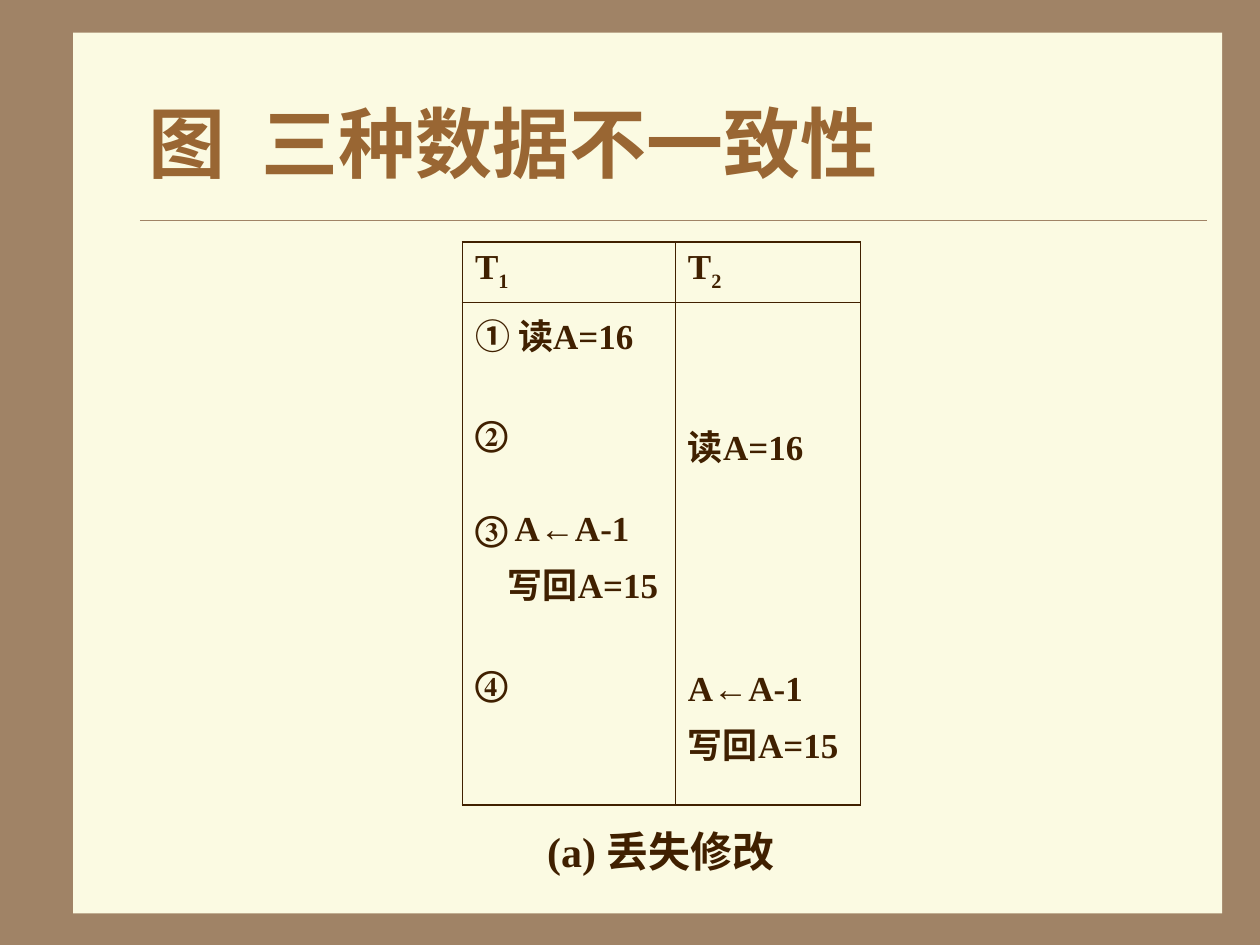
import pptx
import pptx.dml.color
import pptx.enum.shapes
import pptx.enum.text
import pptx.oxml.ns
import pptx.util
from lxml import etree

Inches, Pt = pptx.util.Inches, pptx.util.Pt
qn = pptx.oxml.ns.qn
ALIGN = pptx.enum.text.PP_ALIGN
COLORS = {"frame": "A08366", "paper": "FBFAE2", "title": "996633", "ink": "402000"}


def rgb(name):
    return pptx.dml.color.RGBColor.from_string(COLORS[name])


def style(paragraph, size, color="ink"):
    font = paragraph.font
    font.name, font.size, font.bold = "Times New Roman", Pt(size), True
    font.color.rgb = rgb(color)


presentation = pptx.Presentation()
presentation.slide_width, presentation.slide_height = Inches(10), Inches(7.5)
slide = presentation.slides.add_slide(presentation.slide_layouts[6])
slide.background.fill.solid()
slide.background.fill.fore_color.rgb = rgb("frame")

# Paper panel and rule under the title
paper = slide.shapes.add_shape(pptx.enum.shapes.MSO_SHAPE.RECTANGLE,
                               Inches(0.58), Inches(0.26), Inches(9.12), Inches(6.99))
paper.shadow.inherit = False
paper.fill.solid()
paper.fill.fore_color.rgb = rgb("paper")
paper.line.fill.background()

rule = slide.shapes.add_connector(pptx.enum.shapes.MSO_CONNECTOR.STRAIGHT,
                                  Inches(1.11), Inches(1.75), Inches(9.58), Inches(1.75))
rule.line.color.rgb = rgb("frame")
rule.line.width = Pt(0.25)
etree.SubElement(rule._element.spPr, qn("a:effectLst"))

# Title and caption
for text, box, size, color, align, wrap in (
    ("图\t三种数据不一致性", (1.08, 0.5, 8.5, 1.25), 44, "title", ALIGN.LEFT, True),
    ("(a) 丢失修改", (3.83, 6.42, 2.83, 0.67), 24, "ink", ALIGN.CENTER, False),
):
    frame = slide.shapes.add_textbox(*map(Inches, box)).text_frame
    frame.word_wrap = wrap
    frame.vertical_anchor = pptx.enum.text.MSO_ANCHOR.MIDDLE
    line = frame.paragraphs[0]
    line.text = text
    line.alignment = align
    if "\t" in text:
        stops = etree.SubElement(line._p.get_or_add_pPr(), qn("a:tabLst"))
        etree.SubElement(stops, qn("a:tab"), pos=str(Inches(0.9)), algn="l")
    style(line, size, color)

# Schedule of the two transactions
schedule = slide.shapes.add_table(2, 2, Inches(3.67), Inches(1.92),
                                  Inches(3.16), Inches(4.47)).table
schedule.first_row = schedule.horz_banding = False
for column, width in zip(schedule.columns, (1.69, 1.47)):
    column.width = Inches(width)
for row, height in zip(schedule.rows, (0.48, 3.99)):
    row.height = Inches(height)

# Each step: text, space before in points, first-line indent in inches
STEP_GAP = 32
steps = (
    (("① 读A=16", 0, 0), ("②", STEP_GAP, 0), ("③ A←A-1", STEP_GAP, 0),
     ("写回A=15", 5, 0.26), ("④", STEP_GAP, 0)),
    (("读A=16", 0, 0), ("A←A-1", 114, 0), ("写回A=15", 5, 0)),
)
for c, transaction in enumerate(steps):
    heading = schedule.cell(0, c).text_frame.paragraphs[0]
    heading.add_run().text = "T"
    number = heading.add_run()
    number.text = str(c + 1)
    number.font._element.set("baseline", "-25000")
    style(heading, 20)

    body = schedule.cell(1, c).text_frame
    for i, (text, gap, indent) in enumerate(transaction):
        step = body.add_paragraph() if i else body.paragraphs[0]
        step.text = text
        if gap:
            step.space_before = Pt(gap)
        if indent:
            step._p.get_or_add_pPr().set("indent", str(Inches(indent)))
        style(step, 20)

# Thick outer border, thin inner lines
for r in range(2):
    for c in range(2):
        cell = schedule.cell(r, c)
        cell.margin_left = Inches(0.1)
        cell.margin_right = Inches(0.05 if c else 0.1)
        cell.margin_top = Inches(0.93 if r and c else 0.05)
        cell.margin_bottom = Inches(0.05)
        properties = cell._tc.get_or_add_tcPr()
        for side, outer in (("L", c == 0), ("R", c == 1), ("T", r == 0), ("B", r == 1)):
            border = etree.SubElement(properties, qn(f"a:ln{side}"),
                                      w=str(Pt(1.08 if outer else 0.45)))
            fill = etree.SubElement(border, qn("a:solidFill"))
            etree.SubElement(fill, qn("a:srgbClr"), val=COLORS["ink"])
        cell.fill.background()

presentation.save("out.pptx")
